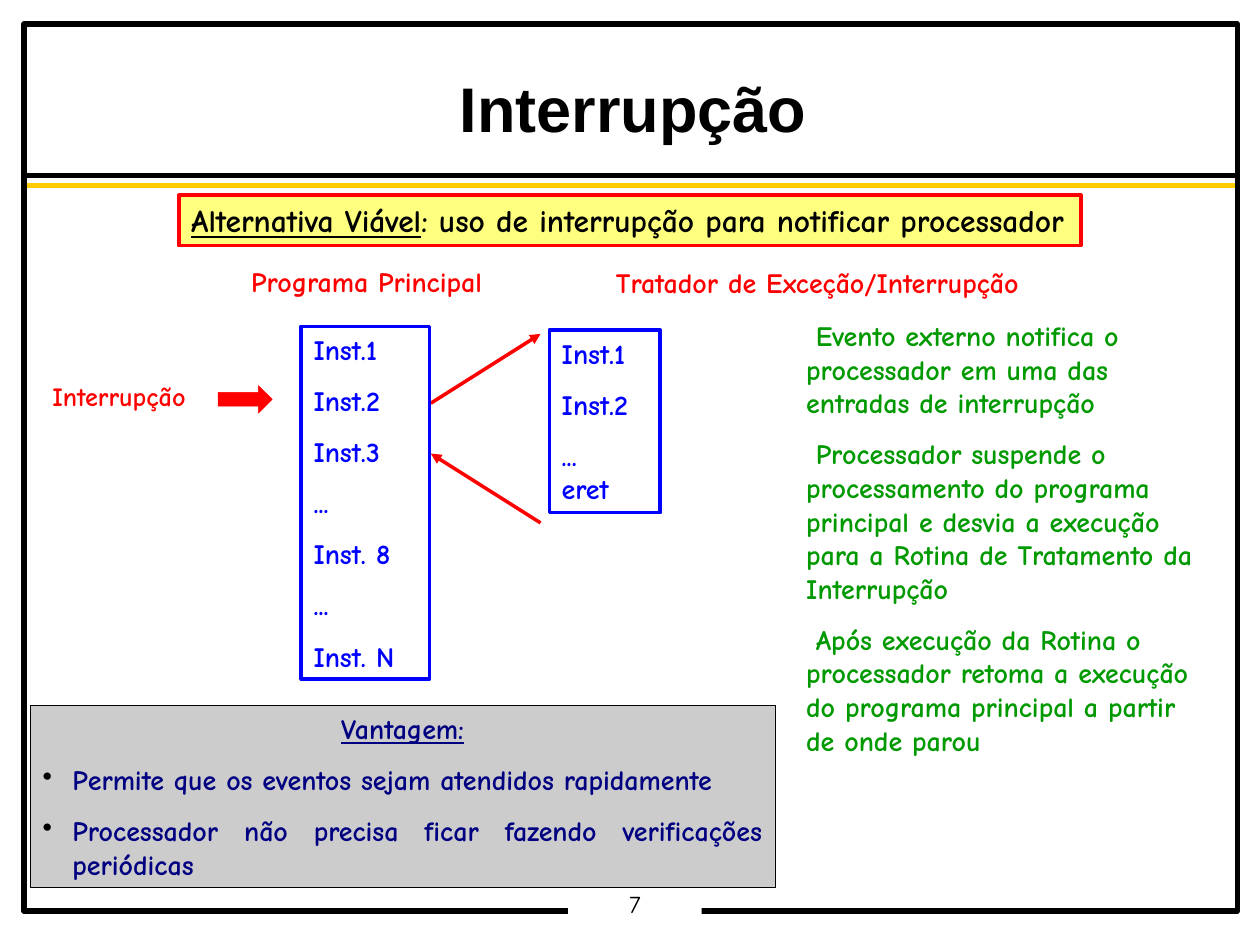
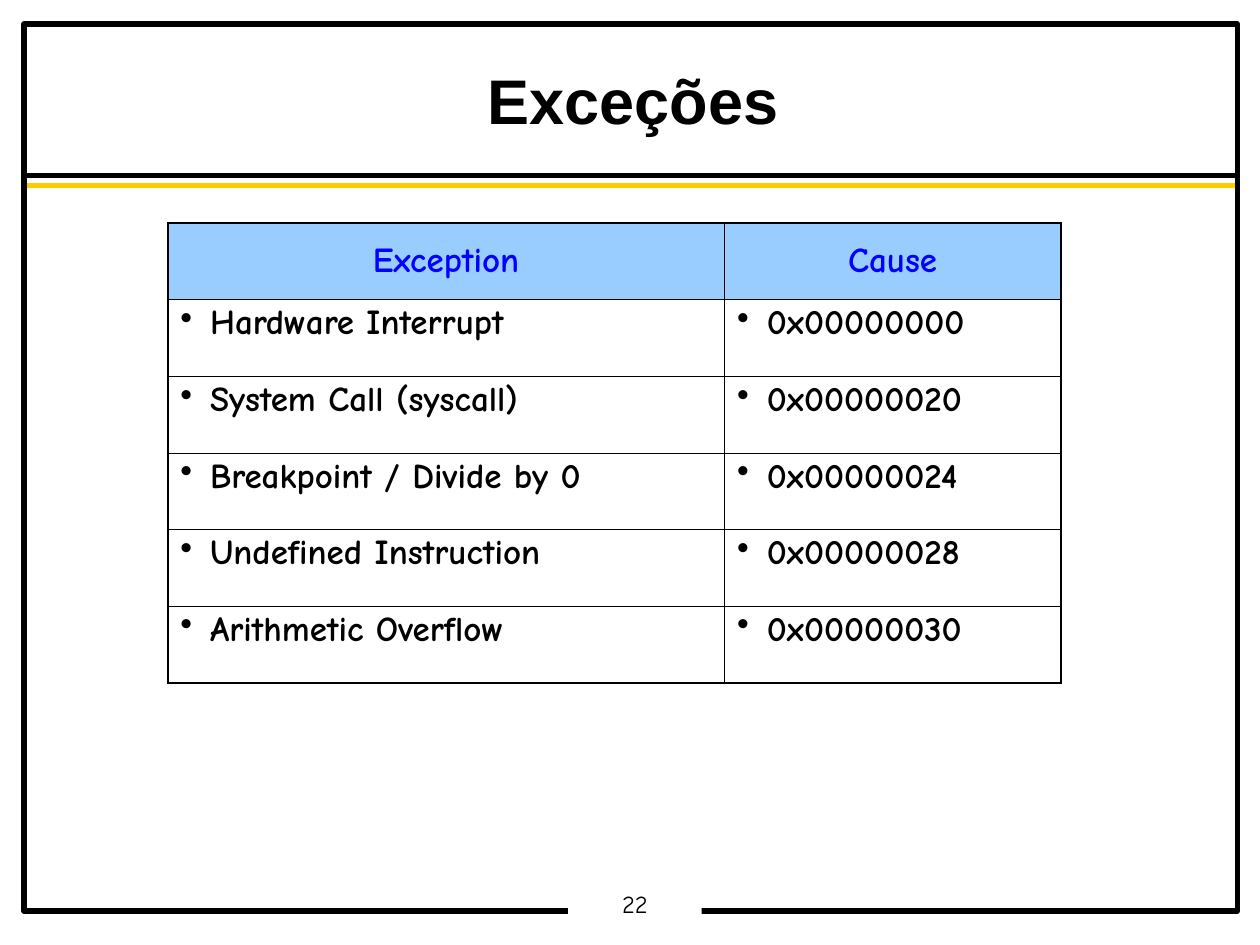
"""Build two slides on processor interrupts and exception causes."""
from lxml import etree
from pptx import Presentation
from pptx.dml.color import RGBColor
from pptx.enum.shapes import MSO_CONNECTOR, MSO_SHAPE
from pptx.enum.text import MSO_ANCHOR, PP_ALIGN
from pptx.oxml.ns import qn
from pptx.util import Pt

LEFT, CENTER, JUSTIFY = PP_ALIGN.LEFT, PP_ALIGN.CENTER, PP_ALIGN.JUSTIFY
TOP, MIDDLE = MSO_ANCHOR.TOP, MSO_ANCHOR.MIDDLE
RECTANGLE, RIGHT_ARROW = MSO_SHAPE.RECTANGLE, MSO_SHAPE.RIGHT_ARROW
STRAIGHT = MSO_CONNECTOR.STRAIGHT

COLORS = {
    "black": "000000", "white": "FFFFFF", "gold": "FFCC00", "yellow": "FFFF00",
    "red": "FF0000", "blue": "0000FF", "green": "009900", "navy": "000080",
    "gray": "CCCCCC", "sky": "99CCFF",
}
RGB = {name: RGBColor.from_string(value) for name, value in COLORS.items()}
TITLE_FONT, BODY_FONT = "Arial", "Comic Neue"
BULLET_INDENT = 17


def style_para(para, size, color, bold=True, align=LEFT, gap=0, spacing=None,
               bulleted=False, font=BODY_FONT):
    """Set the layout, bullet and font of a paragraph."""
    para.alignment = align
    para.space_before = Pt(gap)
    if spacing:
        para.line_spacing = spacing
    if bulleted:
        props = para._p.get_or_add_pPr()
        props.set("marL", str(Pt(BULLET_INDENT)))
        props.set("indent", str(-Pt(BULLET_INDENT)))
        bullet_color = etree.SubElement(props, qn("a:buClr"))
        etree.SubElement(bullet_color, qn("a:srgbClr"), val=COLORS["black"])
        etree.SubElement(props, qn("a:buChar"), char="•")
    para.font.name = font
    para.font.size = Pt(size)
    para.font.bold = bold
    para.font.color.rgb = RGB[color]


def add_box(page, frame, lines=(), preset=None, fill=None, line=None, width=2,
            anchor=TOP, wrap=True, size=16, color="black", gap=10, **style):
    """Add a preset shape, or a text box if there is none, with its paragraphs."""
    place = [Pt(length) for length in frame]
    if preset is None:
        box = page.shapes.add_textbox(*place)
    else:
        box = page.shapes.add_shape(preset, *place)
        box.shadow.inherit = False
    if fill:
        box.fill.solid()
        box.fill.fore_color.rgb = RGB[fill]
    else:
        box.fill.background()
    if line:
        box.line.color.rgb = RGB[line]
        box.line.width = Pt(width)
    else:
        box.line.fill.background()
    text = box.text_frame
    text.word_wrap = wrap
    text.vertical_anchor = anchor
    for index, words in enumerate(lines):
        para = text.add_paragraph() if index else text.paragraphs[0]
        para.text = words
        style_para(para, size, color, gap=gap if index else 0, **style)
    return box


deck = Presentation()
deck.slide_width, deck.slide_height = Pt(720), Pt(540)

rules = [(14.4, 100.1, 708.5, 100.1, "black", 3), (14.4, 105.8, 708.5, 105.8, "gold", 3)]
jumps = [(246.2, 230.4, 308.9, 190.8, "red", 2), (308.9, 298.8, 246.2, 259.2, "red", 2)]
page_plans = [
    ("Interrupção", "7", (14.4, 39.8, 694.8, 47), jumps),
    ("Exceções", "22", (14.4, 18, 694.8, 81.4), []),
]

pages = []
for title, number, title_frame, arrows in page_plans:
    page = deck.slides.add_slide(deck.slide_layouts[6])
    pages.append(page)
    for x1, y1, x2, y2, color, width in rules + arrows:
        stroke = page.shapes.add_connector(STRAIGHT, Pt(x1), Pt(y1), Pt(x2), Pt(y2))
        stroke.line.color.rgb = RGB[color]
        stroke.line.width = Pt(width)
        if color == "red":
            etree.SubElement(stroke.line._get_or_add_ln(), qn("a:tailEnd"), type="triangle")
        etree.SubElement(stroke._element.spPr, qn("a:effectLst"))
    add_box(page, (13.7, 13.7, 693.4, 506.9), preset=RECTANGLE, line="black", width=3)
    footer = add_box(page, (324.7, 507.6, 76.3, 19.4), [number], preset=RECTANGLE,
                     fill="white", size=14, bold=False, align=CENTER, spacing=0.9)
    footer.text_frame.margin_top = footer.text_frame.margin_bottom = Pt(2.2)
    add_box(page, title_frame, [title], anchor=MIDDLE, size=36, align=CENTER,
            spacing=0.95, font=TITLE_FONT)

interrupt_page, exception_page = pages

banner = add_box(interrupt_page, (102.2, 111.6, 515.5, 28.8), ["Alternativa Viável"],
                 preset=RECTANGLE, fill="yellow", line="red", wrap=False, size=18)
banner_color = banner._element.spPr.find(qn("a:solidFill"))[0]
etree.SubElement(banner_color, qn("a:alpha"), val="50000")
banner_para = banner.text_frame.paragraphs[0]
banner_para.runs[0].font.underline = True
banner_para.add_run().text = ": uso de interrupção para notificar processador"

add_box(interrupt_page, (136.1, 147.6, 146.9, 26.6), ["Programa Principal"],
        wrap=False, color="red", align=CENTER)
add_box(interrupt_page, (344.9, 148.3, 246.2, 26.6), ["Tratador de Exceção/Interrupção"],
        wrap=False, color="red")
add_box(interrupt_page, (8.6, 213.8, 118.8, 25.2), ["Interrupção"],
        size=15, color="red", align=CENTER)
add_box(interrupt_page, (124.6, 220.3, 31, 15.8), preset=RIGHT_ARROW,
        fill="red", line="red", width=0.25)

programs = [
    ((172.1, 186.5, 73.4, 201.6),
     ["Inst.1", "Inst.2", "Inst.3", "...", "Inst. 8", "...", "Inst. N"]),
    ((313.9, 188.6, 63.4, 104.4), ["Inst.1", "Inst.2", "...\veret"]),
]
for frame, instructions in programs:
    add_box(interrupt_page, frame, instructions, preset=RECTANGLE, line="blue", color="blue")

steps = add_box(interrupt_page, (453.6, 178.6, 241.2, 314.6), [
    "Evento externo notifica o processador em uma das entradas de interrupção",
    "Processador suspende o processamento do programa principal e desvia a execução "
    "para a Rotina de Tratamento da Interrupção",
    "Após execução da Rotina o processador retoma a execução do programa principal "
    "a partir de onde parou",
], color="green")
for para in steps.text_frame.paragraphs:
    para._p.get_or_add_pPr().set("indent", str(Pt(5.5)))

benefits = add_box(interrupt_page, (17.3, 403.2, 425.5, 103.7), ["Vantagem:"],
                   preset=RECTANGLE, fill="gray", line="black", width=0.25,
                   anchor=MIDDLE, color="navy", align=CENTER)
benefits.text_frame.paragraphs[0].runs[0].font.underline = True
for words in ["Permite que os eventos sejam atendidos rapidamente",
              "Processador não precisa ficar fazendo verificações periódicas"]:
    para = benefits.text_frame.add_paragraph()
    para.text = words
    style_para(para, 16, "navy", align=JUSTIFY, gap=10, bulleted=True)

causes = [
    ("Exception", "Cause"),
    ("Hardware Interrupt", "0x00000000"),
    ("System Call (syscall)", "0x00000020"),
    ("Breakpoint / Divide by 0", "0x00000024"),
    ("Undefined Instruction", "0x00000028"),
    ("Arithmetic Overflow", "0x00000030"),
]
last_row, last_column = len(causes) - 1, 1
table = exception_page.shapes.add_table(
    len(causes), 2, Pt(95.8), Pt(127.4), Pt(510.4), Pt(262.8)).table
table.first_row = table.horz_banding = False
table.columns[0].width, table.columns[1].width = Pt(318.2), Pt(192.2)
for row_index, entries in enumerate(causes):
    table.rows[row_index].height = Pt(43.8)
    is_header = row_index == 0
    for column_index, words in enumerate(entries):
        cell = table.cell(row_index, column_index)
        cell_props = cell._tc.get_or_add_tcPr()
        edges = [("a:lnL", column_index == 0), ("a:lnR", column_index == last_column),
                 ("a:lnT", is_header), ("a:lnB", row_index == last_row)]
        for tag, is_outer in edges:
            border = etree.SubElement(cell_props, qn(tag), w=str(Pt(1.08 if is_outer else 0.45)))
            border_fill = etree.SubElement(border, qn("a:solidFill"))
            etree.SubElement(border_fill, qn("a:srgbClr"), val=COLORS["black"])
        if is_header:
            cell.fill.solid()
            cell.fill.fore_color.rgb = RGB["sky"]
        else:
            cell.fill.background()
        cell.vertical_anchor = MIDDLE if is_header else TOP
        para = cell.text_frame.paragraphs[0]
        para.text = words
        style_para(para, 20, "blue" if is_header else "black",
                   align=CENTER if is_header else LEFT, spacing=0.9,
                   bulleted=not is_header)

deck.save("out.pptx")
